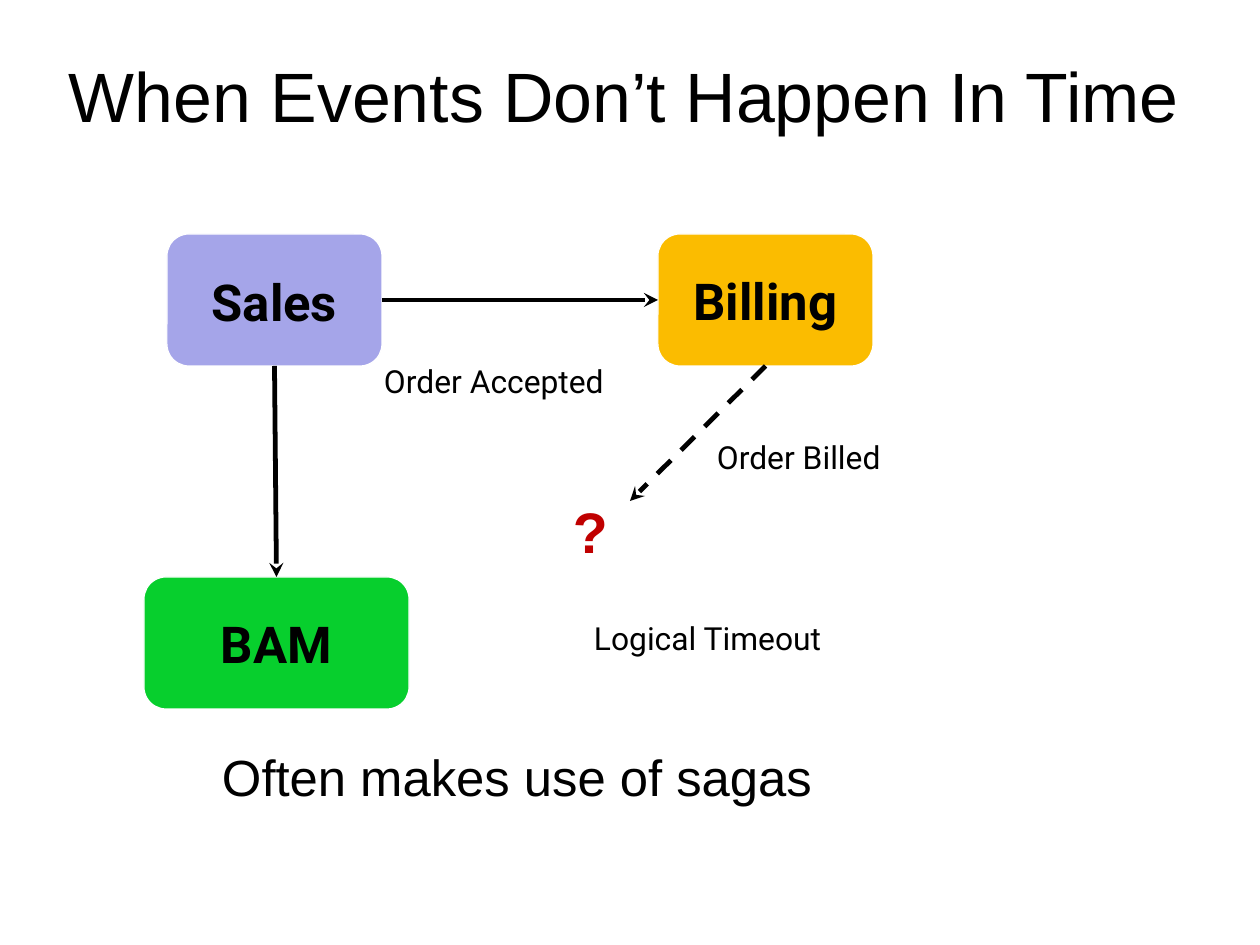
import dataclasses

import pptx
import pptx.dml.color
import pptx.enum.dml
import pptx.enum.shapes
import pptx.enum.text
import pptx.oxml.ns
import pptx.util
from lxml import etree

EMU_PER_PX = 8000
TOP, LEFT, BOTTOM, RIGHT = range(4)


@dataclasses.dataclass(frozen=True)
class Theme:
    ink: str = "000000"
    edge: str = "FFFFFF"
    sales: str = "A5A5E9"
    billing: str = "FBBC00"
    bam: str = "07CF2D"
    alarm: str = "C00000"
    heading_font: str = "Arial"
    diagram_font: str = "Roboto"
    title_size: int = 44
    question_size: int = 36
    large_size: int = 32
    label_size: int = 20
    edge_width: float = 0.75
    arrow_width: int = 3


THEME = Theme()


def px(length):
    return pptx.util.Emu(length * EMU_PER_PX)


def rgb(code):
    return pptx.dml.color.RGBColor.from_string(code)


def write(frame, wording, size, font, color=THEME.ink, bold=False, inset=(0, 0)):
    frame.word_wrap = True
    frame.margin_left = frame.margin_right = px(inset[0])
    frame.margin_top = frame.margin_bottom = px(inset[1])
    frame.text = wording
    paragraph = frame.paragraphs[0]
    run_font = paragraph.runs[0].font
    run_font.name = font
    run_font.size = pptx.util.Pt(size)
    run_font.bold = bold
    run_font.color.rgb = rgb(color)
    return paragraph


def add_text(slide, box, wording, size, font, top_inset, **style):
    area = slide.shapes.add_textbox(*map(px, box))
    write(area.text_frame, wording, size, font, inset=(11, top_inset), **style)


def add_service(slide, box, wording, fill):
    service = slide.shapes.add_shape(
        pptx.enum.shapes.MSO_SHAPE.ROUNDED_RECTANGLE, *map(px, box))
    service.shadow.inherit = False
    service.fill.solid()
    service.fill.fore_color.rgb = rgb(fill)
    service.line.color.rgb = rgb(THEME.edge)
    service.line.width = pptx.util.Pt(THEME.edge_width)
    service.text_frame.vertical_anchor = pptx.enum.text.MSO_ANCHOR.MIDDLE
    paragraph = write(service.text_frame, wording, THEME.large_size,
                      THEME.diagram_font, bold=True)
    paragraph.alignment = pptx.enum.text.PP_ALIGN.CENTER
    return service


def add_event(slide, source, source_side, target=None, target_side=None,
              end=(0, 0), dashed=False):
    event = slide.shapes.add_connector(
        pptx.enum.shapes.MSO_CONNECTOR.STRAIGHT, 0, 0, *map(px, end))
    event.begin_connect(source, source_side)
    if target is not None:
        event.end_connect(target, target_side)
    event.line.color.rgb = rgb(THEME.ink)
    event.line.width = pptx.util.Pt(THEME.arrow_width)
    if dashed:
        event.line.dash_style = pptx.enum.dml.MSO_LINE.DASH
    qn = pptx.oxml.ns.qn
    properties = event._element.spPr
    etree.SubElement(properties.find(qn("a:ln")), qn("a:tailEnd"), type="stealth")
    etree.SubElement(properties, qn("a:effectLst"))


def add_event_flow(slide, box):
    left, top, width, height = box

    def place(x, y, w, h):
        return left + x, top + y, w, h

    sales = add_service(slide, place(23, 0, 215, 132), "Sales", THEME.sales)
    sales.text_frame.vertical_anchor = pptx.enum.text.MSO_ANCHOR.TOP
    sales.text_frame.paragraphs[0].line_spacing = 1.5
    billing = add_service(slide, place(514, 0, 215, 132), "Billing", THEME.billing)
    bam = add_service(slide, place(0, height - 132, 265, 132), "BAM", THEME.bam)

    add_event(slide, sales, BOTTOM, bam, TOP)
    add_event(slide, sales, RIGHT, billing, LEFT)
    add_event(slide, billing, BOTTOM, end=(left + 486, top + 267), dashed=True)

    for wording, x, y, w in (
        ("Order Accepted", 229, 124, 248),
        ("Order Billed", 562, 200, 200),
        ("Logical Timeout", 439, 381, 497),
    ):
        add_text(slide, place(x, y, w, 57), wording, THEME.label_size,
                 THEME.diagram_font, 4)
    add_text(slide, place(418, 257, 58, 75), "?", THEME.question_size,
             THEME.heading_font, 5, color=THEME.alarm, bold=True)


def main():
    deck = pptx.Presentation()
    deck.slide_width, deck.slide_height = px(1260), px(945)
    slide = deck.slides.add_slide(deck.slide_layouts[6])
    add_text(slide, (58, 45, 1201, 90), "When Events Don’t Happen In Time",
             THEME.title_size, THEME.heading_font, 8)
    add_event_flow(slide, (144, 234, 936, 475))
    add_text(slide, (211, 740, 618, 69), "Often makes use of sagas",
             THEME.large_size, THEME.heading_font, 6)
    deck.save("out.pptx")


if __name__ == "__main__":
    main()
